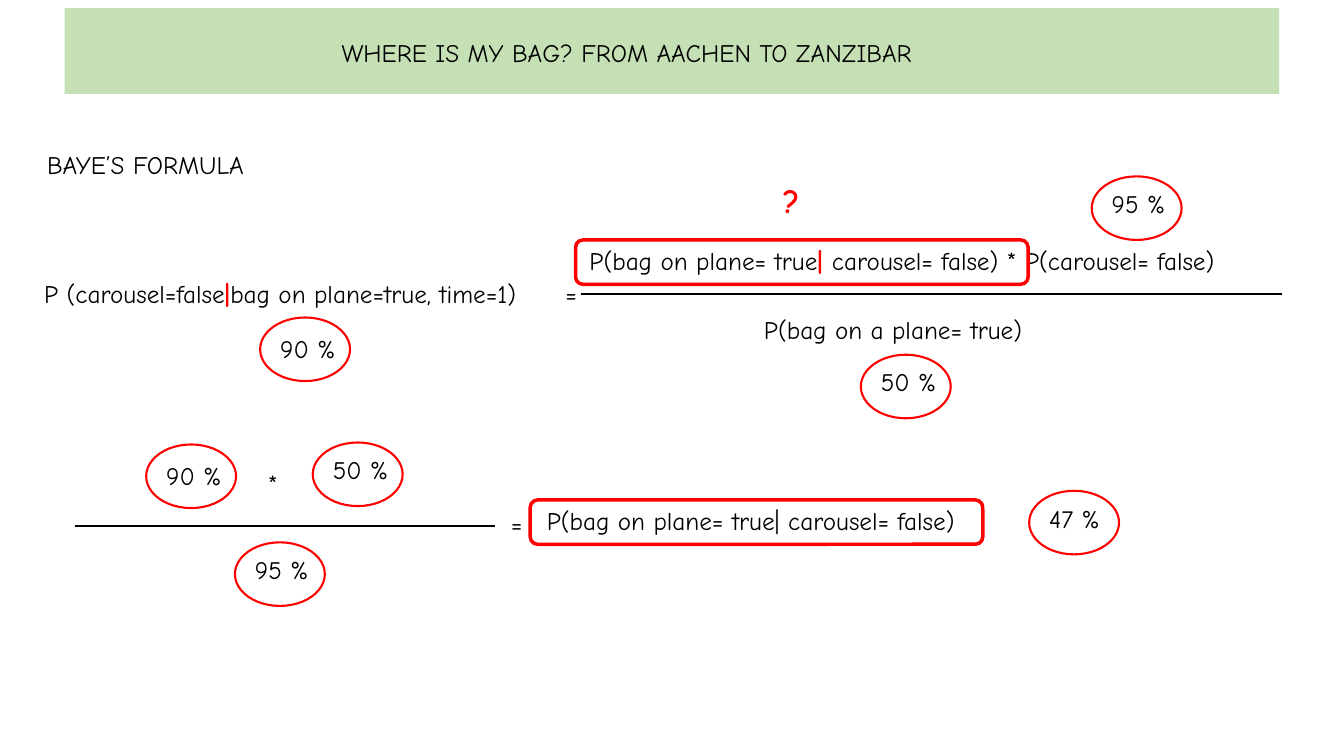
from lxml import etree
from pptx import Presentation
from pptx.dml.color import RGBColor
from pptx.enum.shapes import MSO_CONNECTOR as CONN, MSO_SHAPE as SHAPE
from pptx.oxml.ns import qn
from pptx.util import Pt

BLACK = RGBColor(0x00, 0x00, 0x00)
RED = RGBColor(0xFF, 0x00, 0x00)
GREEN = RGBColor(0xC5, 0xE0, 0xB4)
FONT = "Comic Neue"
LINE_H = 29
OVAL_W, OVAL_H = 64.2, 45.4
FRAME_W, FRAME_H = 323.3, 31.7


def add_text(s, x, y, w, *runs, size=18, h=LINE_H):
    """Add a left-aligned line of text; each run is (words, is_red)."""
    tf = s.shapes.add_textbox(Pt(x), Pt(y), Pt(w), Pt(h)).text_frame
    tf.word_wrap = True
    p = tf.paragraphs[0]
    for words, is_red in runs:
        r = p.add_run()
        r.text = words
        r.font.name = FONT
        r.font.size = Pt(size)
        r.font.bold = is_red
        r.font.color.rgb = RED if is_red else BLACK


def add_outline(s, kind, x, y, w, h, weight):
    """Add an unfilled shape with a red outline."""
    sp = s.shapes.add_shape(kind, Pt(x), Pt(y), Pt(w), Pt(h))
    sp.shadow.inherit = False
    sp.fill.background()
    sp.line.color.rgb = RED
    sp.line.width = Pt(weight)


def add_frame(s, x, y):
    """Add the rounded frame around the unknown term."""
    add_outline(s, SHAPE.ROUNDED_RECTANGLE, x, y, FRAME_W, FRAME_H, 2.5)


def add_percent(s, x, y, value, drop=5):
    """Add a circled percentage."""
    add_outline(s, SHAPE.OVAL, x, y, OVAL_W, OVAL_H, 1.5)
    add_text(s, x + 7.2, y + drop, 57, (f"{value} %", False))


def add_bar(s, x, y, w):
    """Add a horizontal fraction bar."""
    bar = s.shapes.add_connector(CONN.STRAIGHT, Pt(x), Pt(y), Pt(x + w), Pt(y))
    bar.line.color.rgb = BLACK
    bar.line.width = Pt(1.5)
    etree.SubElement(bar._element.spPr, qn("a:effectLst"))


def title_band(s, x, y, w, h):
    """Draw the green band with the slide title."""
    sp = s.shapes.add_shape(SHAPE.RECTANGLE, Pt(x), Pt(y), Pt(w), Pt(h))
    sp.shadow.inherit = False
    sp.fill.solid()
    sp.fill.fore_color.rgb = GREEN
    sp.line.fill.background()
    add_text(s, x + 190.8, y + 17.2, 472,
             ("WHERE IS MY BAG? FROM AACHEN TO ZANZIBAR", False))


def bayes_formula(s, x, y, w):
    """Draw the heading and the formula with its known values."""
    add_text(s, x + 2.6, y + 3, 173, ("BAYE’S FORMULA", False))
    add_text(s, x + 390, y + 71.4, w - 390, ("P(bag on plane= true", False),
             ("| ", True), ("carousel= false) * P(carousel= false)", False))
    add_bar(s, x + 390.7, y + 110.2, w - 390.7)
    add_text(s, x + 0.5, y + 95.1, 387, ("P (carousel=false", False),
             ("|", True), ("bag on plane=true, time=1)", False))
    add_text(s, x + 372.7, y + 95.1, 24, ("=", False))
    add_text(s, x + 514.6, y + 121, 207, ("P(bag on a plane= true)", False))
    add_frame(s, x + 387.1, y + 71.4)
    add_text(s, x + 528.2, y + 25.3, 28, ("?", True), size=24, h=36)
    add_percent(s, x + 161.8, y + 126.8, 90, drop=7.9)
    add_percent(s, x + 590.9, y + 153.4, 50)
    add_percent(s, x + 755.8, y + 26, 95)


def solved_formula(s, x, y):
    """Draw the fraction of known values and its result."""
    add_percent(s, x + 52.4, y + 3.5, 90, drop=7.9)
    add_text(s, x + 132.3, y + 17.2, 24.5, ("*", False))
    add_percent(s, x + 171.4, y + 2.1, 50)
    add_bar(s, x + 1.3, y + 61.8, 300.2)
    add_percent(s, x + 115.8, y + 73.4, 95)
    add_text(s, x + 305.8, y + 45.3, 24, ("=", False))
    add_text(s, x + 331.5, y + 43.1, 331,
             ("P(bag on plane= true| carousel= false)", False))
    add_frame(s, x + 326.7, y + 43.1)
    add_percent(s, x + 683.1, y + 36.6, 47)


def main():
    """Build and save the slide."""
    prs = Presentation()
    prs.slide_width, prs.slide_height = Pt(960), Pt(540)
    s = prs.slides.add_slide(prs.slide_layouts[6])
    title_band(s, 46.1, 5.8, 867.6, 61.2)
    bayes_formula(s, 24, 100, 891.8)
    solved_formula(s, 52, 314)
    prs.save("out.pptx")


if __name__ == "__main__":
    main()
